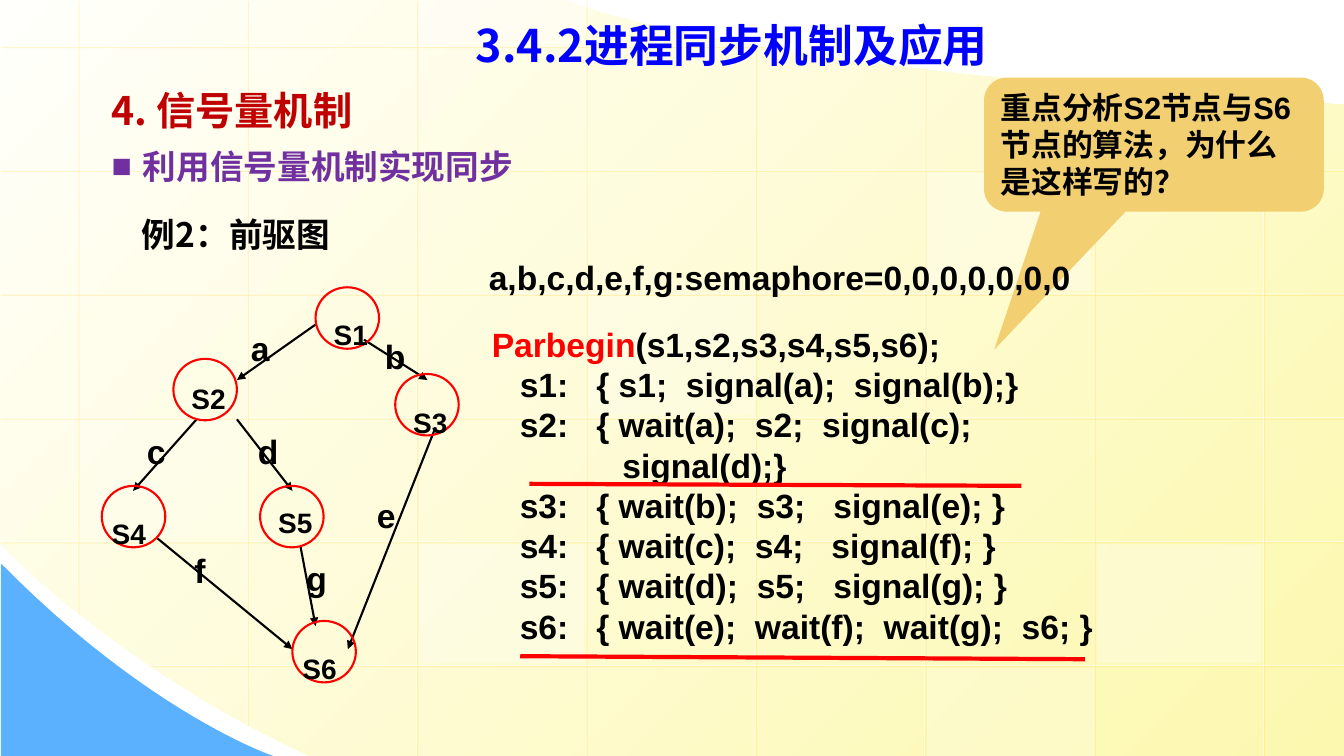
from pptx import Presentation
from pptx.dml.color import RGBColor
from pptx.enum.shapes import MSO_CONNECTOR, MSO_SHAPE
from pptx.enum.text import MSO_ANCHOR, PP_ALIGN
from pptx.oxml import parse_xml
from pptx.oxml.ns import nsdecls
from pptx.util import Inches, Pt

WIDE, HIGH = 133.3, 75  # columns and rows of the slide grid
CELL = 0.1
SANS = "Noto Sans CJK SC"

CODE = [
    "   s1:   { s1;  signal(a);  signal(b);}",
    "   s2:   { wait(a);  s2;  signal(c);",
    "              signal(d);}",
    "   s3:   { wait(b);  s3;   signal(e); }",
    "   s4:   { wait(c);  s4;   signal(f); }",
    "   s5:   { wait(d);  s5;   signal(g); }",
    "   s6:   { wait(e);  wait(f);  wait(g);  s6; }",
]
# name: circle's left and top, label's left and top
NODES = {
    "S1": (31.3, 28.5, 32.1, 27.7),
    "S2": (17.2, 35.6, 18, 34),
    "S3": (39.2, 37.1, 40, 36.4),
    "S4": (10.1, 48.2, 10.1, 47.4),
    "S5": (25.8, 48.2, 26.6, 46.3),
    "S6": (29, 61.6, 29, 60.8),
}
# name: arrow's start and end, label's left and top
EDGES = {
    "a": (31.3, 32.2, 23.5, 37.7, 23.9, 28),
    "b": (36.1, 33.7, 42.4, 37.7, 37.2, 28.8),
    "c": (19.5, 41.6, 13.2, 48.7, 13.6, 38.3),
    "d": (23.5, 41.6, 29, 48.7, 24.6, 38.3),
    "e": (43.2, 42.4, 34.5, 64.4, 36.4, 44.6),
    "f": (15.6, 53.4, 29, 64.4, 18.3, 50.1),
    "g": (29.8, 54.2, 31.3, 62.1, 29.4, 50.9),
}
PANES = [
    (58.4, 29.4, 16.5, 11.8, 25), (108.8, 54, 16.3, 11.8, 30),
    (8, 41.6, 16.5, 11.8, 20), (92, 66.3, 16.5, 8.7, 20),
    (41.5, 0, 16.5, 4.4, 40), (41.6, 54, 16.3, 11.8, 30),
    (91.9, 17.1, 16.3, 11.8, 30),
]


def grid(*cells):
    return [Inches(cell * CELL) for cell in cells]


def tint(code):
    return RGBColor.from_string(code)


def fade(fill, share):
    """Make a solid fill partly opaque, in percent."""
    color = fill._xPr.find(".//{*}srgbClr")
    color.append(parse_xml(f'<a:alpha {nsdecls("a")} val="{share * 1000}"/>'))


def write(para, text, size=24, color="000000", font="Arial"):
    run = para.add_run()
    run.text = text
    run.font.size, run.font.bold, run.font.name = Pt(size), True, font
    run.font.color.rgb = tint(color)
    run._r.get_or_add_rPr().append(
        parse_xml(f'<a:ea {nsdecls("a")} typeface="{SANS}"/>'))


def frame(slide, box, wrap=True, anchor=MSO_ANCHOR.TOP):
    """Add a text box and return its text frame."""
    body = slide.shapes.add_textbox(*grid(*box)).text_frame
    body.word_wrap, body.vertical_anchor = wrap, anchor
    return body


def label(slide, text, box, space=2.0, wrap=True, anchor=MSO_ANCHOR.TOP, **style):
    para = frame(slide, box, wrap, anchor).paragraphs[0]
    para.line_spacing = space
    write(para, text, **style)


def shape(slide, kind, box, fill=None, line=None):
    item = slide.shapes.add_shape(kind, *grid(*box))
    item.shadow.inherit = False
    paint(item, fill, line)
    return item


def paint(item, fill, line=None):
    if fill:
        item.fill.solid()
        item.fill.fore_color.rgb = tint(fill)
    else:
        item.fill.background()
    if line:
        item.line.color.rgb, item.line.width = tint(line), Pt(1.5)
    else:
        item.line.fill.background()


def rule(slide, ends, color, width, arrow=False, glow=False):
    line = slide.shapes.add_connector(MSO_CONNECTOR.STRAIGHT, *grid(*ends))
    line.line.color.rgb, line.line.width = tint(color), Pt(width)
    shade = ""
    if glow:
        fade(line.line.fill, 50)
        shade = ('<a:outerShdw dist="17780" dir="2700000" algn="ctr" rotWithShape="0">'
                 '<a:srgbClr val="FFCC00"><a:alpha val="34000"/></a:srgbClr></a:outerShdw>')
    if arrow:
        line.line._get_or_add_ln().append(
            parse_xml(f'<a:tailEnd {nsdecls("a")} type="triangle"/>'))
    line._element.spPr.append(
        parse_xml(f'<a:effectLst {nsdecls("a")}>{shade}</a:effectLst>'))


def curve(a, b, c, d, steps=24):
    """Points along a cubic Bezier curve, without its start."""
    for step in range(1, steps + 1):
        t = step / steps
        u = 1 - t
        yield tuple(u**3 * p + 3 * u * u * t * q + 3 * u * t * t * r + t**3 * s
                    for p, q, r, s in zip(a, b, c, d))


def outline(slide, points):
    first, *rest = [grid(*point) for point in points]
    trace = slide.shapes.build_freeform(*first)
    trace.add_line_segments(rest, close=True)
    item = trace.convert_to_shape()
    item.shadow.inherit = False
    return item


def backdrop(slide):
    left, base, edge = (0, 53.9), (30.7, HIGH), (WIDE, 10.4)
    sheet = outline(slide, [
        edge, (WIDE, HIGH), base,
        *curve(base, (11.5, 66.1), (-0.1, 53.9), left),
        (0, 0), (56.1, 0),
        *curve((56.1, 0), (56.1, 0.1), (71.5, 6.9), edge)])
    paint(sheet, None)
    sheet.fill.gradient()
    sheet.fill.gradient_angle = 315
    for stop, color in zip(sheet.fill.gradient_stops, ("FFFFFB", "FDF8AF")):
        stop.color.rgb = tint(color)
    tip, foot = (0.1, 55.9), (27.1, HIGH)
    paint(outline(slide, [tip, (0.1, HIGH), foot,
                          *curve(foot, foot, (14.9, 70.9), tip)]), "5CB1FE")

    tops = (0, 0, 0, 0, 4.3, 6.8, 8.5, 9.8)
    ends = (60.9, 71.9) + (HIGH,) * 6
    for col, (top, end) in enumerate(zip(tops, ends)):
        x = 7.7 + 16.8 * col
        rule(slide, (x, top, x, end), "FFFFFF", 0.75, glow=True)
    for row in range(6):
        y = 4.6 + 12.28 * row
        start, end = (14.8 if row == 5 else 0), (WIDE if row else 75.7)
        rule(slide, (end, y, start, y), "FFFFFF", 0.75, glow=True)
    for *box, share in PANES:
        fade(shape(slide, MSO_SHAPE.RECTANGLE, box, "FFFFFF").fill, share)


def heading(slide):
    label(slide, "3.4.2进程同步机制及应用", (46.2, 1.3, 53.9, 6.4), space=1.0,
          wrap=False, size=32, color="0000FF", font=SANS)
    body = frame(slide, (10.1, 5.7, 55.9, 14.2), anchor=MSO_ANCHOR.MIDDLE)
    head, point = body.paragraphs[0], body.add_paragraph()
    props = point._p.get_or_add_pPr()
    props.set("marL", str(Inches(0.31)))
    props.set("indent", str(-Inches(0.31)))
    props.append(parse_xml(f'<a:buFont {nsdecls("a")} typeface="Arial"/>'))
    props.append(parse_xml(f'<a:buChar {nsdecls("a")} char="■"/>'))
    head.line_spacing = point.line_spacing = 1.3
    write(head, "4. 信号量机制", size=28, color="C00000", font=SANS)
    write(point, "利用信号量机制实现同步", color="7030A0", font=SANS)
    label(slide, "例2：前驱图", (13.1, 20.1, 52, 6.2), space=1.0,
          anchor=MSO_ANCHOR.MIDDLE, font=SANS)


def callout(slide):
    note = shape(slide, MSO_SHAPE.ROUNDED_RECTANGULAR_CALLOUT,
                 (97.6, 7.7, 33.7, 13.3), "F2D072")
    for spot, value in enumerate((-0.47, 1.53, 0.17)):
        note.adjustments[spot] = value
    body = note.text_frame
    body.word_wrap, body.vertical_anchor = True, MSO_ANCHOR.MIDDLE
    para = body.paragraphs[0]
    para.alignment = PP_ALIGN.LEFT
    write(para, "重点分析S2节点与S6节点的算法，为什么是这样写的？", size=22)


def listing(slide):
    label(slide, "a,b,c,d,e,f,g:semaphore=0,0,0,0,0,0,0", (47.5, 21, 61.4, 9.1))
    body = frame(slide, (47.8, 31.6, 63.4, 37.4))
    first = body.paragraphs[0]
    write(first, "Parbegin", color="FF0000")
    write(first, "(s1,s2,s3,s4,s5,s6);")
    for text in CODE:
        write(body.add_paragraph(), text)
    for para in body.paragraphs:
        para.line_spacing = 1.0
    for ends in ((52.5, 48, 101.3, 48.2), (51.6, 65.1, 107.6, 65.4)):
        rule(slide, ends, "FF0000", 3)


def graph(slide):
    for name, (*ends, x, y) in EDGES.items():
        label(slide, name, (x, y, 4.7, 9.1))
        rule(slide, ends, "000000", 1.5, arrow=True)
    for name, (left, top, x, y) in NODES.items():
        shape(slide, MSO_SHAPE.OVAL, (left, top, 6.3, 6.1), line="FF0000")
        label(slide, name, (x, y, 7.1, 7.7), size=20)


def main():
    deck = Presentation()
    deck.slide_width, deck.slide_height = grid(WIDE, HIGH)
    slide = deck.slides.add_slide(deck.slide_layouts[6])
    for part in (backdrop, callout, heading, listing, graph):
        part(slide)
    deck.save("out.pptx")


if __name__ == "__main__":
    main()
